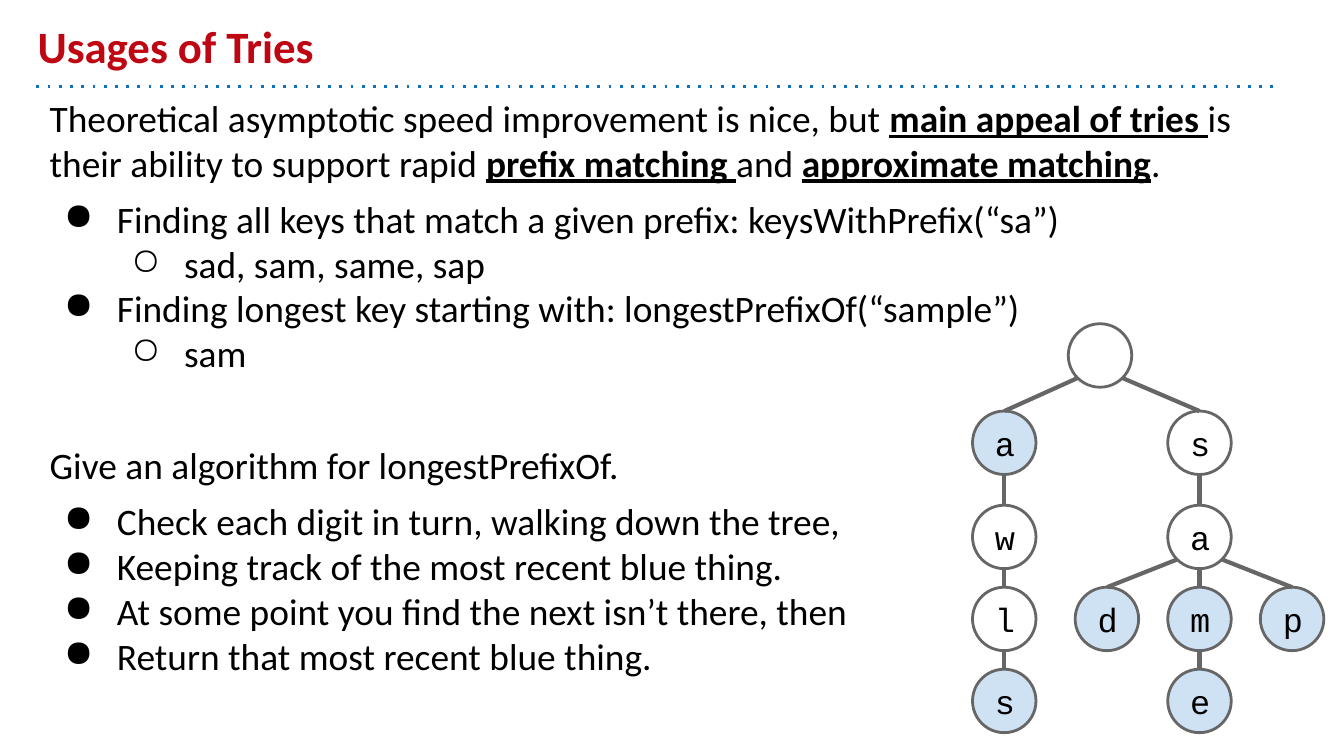
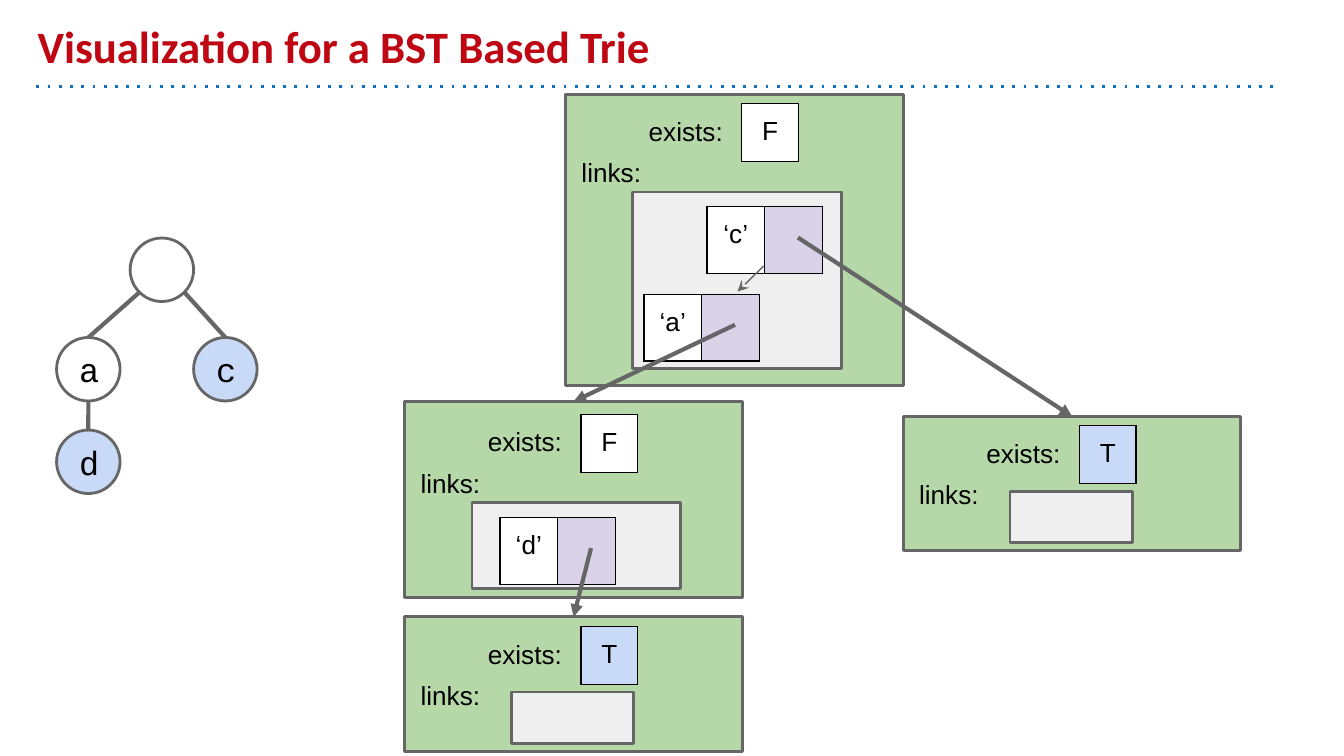
from dataclasses import dataclass

from lxml.etree import SubElement
from pptx import Presentation
from pptx.dml.color import RGBColor
from pptx.enum.shapes import MSO_CONNECTOR, MSO_SHAPE
from pptx.enum.text import MSO_ANCHOR, PP_ALIGN
from pptx.oxml.ns import qn
from pptx.util import Cm, Pt


@dataclass(frozen=True)
class Theme:
    title: str = "BE0712"
    rule: str = "1072BD"
    ink: str = "000000"
    outline: str = "666666"
    white: str = "FFFFFF"
    trie_key: str = "CFE2F3"
    bst_key: str = "C9DAF8"
    card: str = "B6D7A8"
    tray: str = "EFEFEF"
    pointer: str = "D9D2E9"
    heading_font: str = "Calibri"
    node_font: str = "Courier New"
    label_font: str = "Arial"
    title_size: int = 24
    body_size: int = 20
    node_size: int = 18
    label_size: int = 14
    thick: float = 2.25
    medium: float = 1.5
    thin: float = 0.75
    inset: float = 0.25


THEME = Theme()
NODE = 1.2
CARD_WIDTH = 6.38
CELL = 1.09


def paint(fill, color):
    fill.solid()
    fill.fore_color.rgb = RGBColor.from_string(color)


def write(frame, text, font=THEME.label_font, size=THEME.label_size, color=THEME.ink,
          bold=False, align=PP_ALIGN.LEFT, before=0, bullet=None, level=0):
    para = frame.paragraphs[0]
    if para.runs:
        para = frame.add_paragraph()
    para.alignment = align
    para.space_before = Pt(before)
    para.level = level
    if bullet:
        properties = para._p.get_or_add_pPr()
        properties.set("marL", str(Cm(1.27 * (level + 1))))
        properties.set("indent", str(Cm(-1)))
        bullet_color = SubElement(properties, qn("a:buClr"))
        SubElement(bullet_color, qn("a:srgbClr"), val=color)
        SubElement(properties, qn("a:buChar"), char=bullet)
    for index, part in enumerate(text.split("*")):
        strong = index % 2 == 1
        span = para.add_run()
        span.text = part
        span.font.name = font
        span.font.size = Pt(size)
        span.font.bold = bold or strong
        span.font.underline = strong
        span.font.color.rgb = RGBColor.from_string(color)


class Sketch:
    def __init__(self, deck, theme):
        self.deck = deck
        self.theme = theme
        self.page = None

    def new_page(self, title):
        self.page = self.deck.slides.add_slide(self.deck.slide_layouts[5])
        box = self.page.shapes.title
        box.left, box.top, box.width, box.height = Cm(0.46), Cm(0.25), Cm(22.86), Cm(1.37)
        self.prepare(box.text_frame, MSO_ANCHOR.BOTTOM)
        write(box.text_frame, title, font=self.theme.heading_font,
              size=self.theme.title_size, color=self.theme.title, bold=True)
        self.line((0.69, 1.63), (24.13, 1.63), color=self.theme.rule,
                  width=self.theme.medium, dash="dot")

    def prepare(self, frame, anchor):
        frame.word_wrap = True
        frame.vertical_anchor = anchor
        inset = Cm(self.theme.inset)
        frame.margin_left = frame.margin_right = inset
        frame.margin_top = frame.margin_bottom = inset

    def text_box(self, left, top, width, height):
        box = self.page.shapes.add_textbox(Cm(left), Cm(top), Cm(width), Cm(height))
        self.prepare(box.text_frame, MSO_ANCHOR.TOP)
        return box.text_frame

    def shape(self, kind, left, top, width, height, fill):
        shape = self.page.shapes.add_shape(kind, Cm(left), Cm(top), Cm(width), Cm(height))
        shape.shadow.inherit = False
        paint(shape.fill, fill)
        paint(shape.line.fill, self.theme.outline)
        shape.line.width = Pt(self.theme.medium)
        return shape

    def line(self, start, end, color=THEME.outline, width=THEME.thick,
             dash=None, arrow=None, target=None):
        points = [Cm(value) for value in (*start, *end)]
        connector = self.page.shapes.add_connector(MSO_CONNECTOR.STRAIGHT, *points)
        if target is not None:
            connector.end_connect(target, 0)
        paint(connector.line.fill, color)
        connector.line.width = Pt(width)
        properties = connector.element.spPr
        outline = properties.find(qn("a:ln"))
        if dash:
            SubElement(outline, qn("a:prstDash"), val=dash)
        if arrow:
            SubElement(outline, qn("a:tailEnd"), type=arrow)
        SubElement(properties, qn("a:effectLst"))

    def node(self, center, top, letter, fill):
        circle = self.shape(MSO_SHAPE.OVAL, center - NODE / 2, top, NODE, NODE, fill)
        self.prepare(circle.text_frame, MSO_ANCHOR.MIDDLE)
        if letter:
            write(circle.text_frame, letter, font=self.theme.node_font,
                  size=self.theme.node_size)
        return circle

    def tree(self, nodes, edges, key_color):
        circles = {}
        for name, (center, top, letter, is_key) in nodes.items():
            fill = key_color if is_key else self.theme.white
            circles[name] = self.node(center, top, letter, fill)
        for parent, child in edges:
            center, top = nodes[parent][:2]
            target_center, target_top = nodes[child][:2]
            radius = NODE / 2
            side = (target_center > center) - (target_center < center)
            reach = radius * 0.71 if side else radius
            start = (center + side * reach, top + radius + reach)
            self.line(start, (target_center, target_top), target=circles[child])

    def table(self, left, top, column, row, cells):
        frame = self.page.shapes.add_table(
            1, len(cells), Cm(left), Cm(top), Cm(column * len(cells)), Cm(row))
        table = frame.table
        table.first_row = table.horz_banding = False
        for index, (text, fill) in enumerate(cells):
            table.columns[index].width = Cm(column)
            cell = table.cell(0, index)
            cell.margin_left = cell.margin_right = Cm(0.2)
            cell.margin_top = cell.margin_bottom = Cm(self.theme.inset)
            properties = cell._tc.get_or_add_tcPr()
            for side in ("lnL", "lnR", "lnT", "lnB"):
                border = SubElement(properties, qn(f"a:{side}"), w=str(Pt(self.theme.thin)))
                border_fill = SubElement(border, qn("a:solidFill"))
                SubElement(border_fill, qn("a:srgbClr"), val=self.theme.ink)
            paint(cell.fill, fill)
            if text:
                write(cell.text_frame, text, align=PP_ALIGN.CENTER)

    def card(self, left, top, height, flag, tray, drop=0):
        card = self.shape(MSO_SHAPE.RECTANGLE, left, top, CARD_WIDTH, height, self.theme.card)
        write(self.text_box(left + 1.32, top + 0.15 + drop, 2.31, 0.89), "exists:")
        write(self.text_box(left + 0.05, top + 0.93 + drop, 2.72, 0.89), "links:")
        flag_fill = self.theme.bst_key if flag == "T" else self.theme.white
        self.table(left + 3.33, top + 0.18 + drop, 1.07, 0.99, [(flag, flag_fill)])
        tray_left, tray_top, tray_width, tray_height = tray
        self.shape(MSO_SHAPE.RECTANGLE, left + tray_left, top + tray_top + drop,
                   tray_width, tray_height, self.theme.tray)
        return card

    def entry(self, left, top, key):
        self.table(left, top, CELL, 1.07,
                   [(f"‘{key}’", self.theme.white), ("", self.theme.pointer)])
        return left + 1.72, top + 0.58


def build_usages(sketch):
    sketch.new_page("Usages of Tries")
    body = sketch.text_box(0.69, 1.55, 24.18, 12.73)
    lines = [
        ("Theoretical asymptotic speed improvement is nice, but *main appeal of tries *is "
         "their ability to support rapid *prefix matching *and *approximate matching*.",
         None, 0, 6),
        ("Finding all keys that match a given prefix: keysWithPrefix(“sa”)", "●", 0, 6),
        ("sad, sam, same, sap", "○", 1, 0),
        ("Finding longest key starting with: longestPrefixOf(“sample”)", "●", 0, 0),
        ("sam", "○", 1, 0),
        ("Give an algorithm for longestPrefixOf.", None, 0, 36),
        ("Check each digit in turn, walking down the tree,", "●", 0, 6),
        ("Keeping track of the most recent blue thing.", "●", 0, 0),
        ("At some point you find the next isn’t there, then", "●", 0, 0),
        ("Return that most recent blue thing.", "●", 0, 0),
    ]
    for text, bullet, level, before in lines:
        write(body, text, font=THEME.heading_font, size=THEME.body_size,
              bullet=bullet, level=level, before=before)

    rows = (6.12, 7.77, 9.55, 11.1, 12.65)
    nodes = {
        "root": (20.79, rows[0], "", False),
        "a": (18.98, rows[1], "a", True),
        "aw": (18.98, rows[2], "w", False),
        "awl": (18.98, rows[3], "l", False),
        "awls": (18.98, rows[4], "s", True),
        "s": (22.67, rows[1], "s", False),
        "sa": (22.67, rows[2], "a", False),
        "sad": (20.92, rows[3], "d", True),
        "sam": (22.67, rows[3], "m", True),
        "sap": (24.42, rows[3], "p", True),
        "same": (22.67, rows[4], "e", True),
    }
    edges = [(name[:-1] or "root", name) for name in nodes if name != "root"]
    sketch.tree(nodes, edges, THEME.trie_key)


def build_visualization(sketch):
    sketch.new_page("Visualization for a BST Based Trie")
    nodes = {
        "root": (3.06, 4.5, "", False),
        "a": (1.67, 6.38, "a", False),
        "ad": (1.67, 8.13, "d", True),
        "c": (4.26, 6.38, "c", True),
    }
    sketch.tree(nodes, [("root", "a"), ("root", "c"), ("a", "ad")], THEME.bst_key)

    empty_tray = (2.02, 1.42, 2.31, 0.97)
    sketch.card(10.69, 1.78, 5.51, "F", (1.27, 1.85, 3.94, 3.33))
    card_a = sketch.card(7.65, 7.59, 3.71, "F", (1.27, 1.85, 3.94, 1.63), drop=0.06)
    card_c = sketch.card(17.07, 7.87, 2.54, "T", empty_tray)
    card_d = sketch.card(7.65, 11.66, 2.54, "T", empty_tray)

    entries = [(13.36, 3.91, "c", card_c), (12.17, 5.56, "a", card_a), (9.45, 9.78, "d", card_d)]
    links = [(sketch.entry(left, top, key), card) for left, top, key, card in entries]
    for start, card in links:
        sketch.line(start, start, arrow="triangle", target=card)
    sketch.line((14.43, 5.03), (13.94, 5.51), width=THEME.thin, arrow="stealth")


def main():
    deck = Presentation()
    deck.slide_width, deck.slide_height = Cm(25.4), Cm(14.29)
    sketch = Sketch(deck, THEME)
    build_usages(sketch)
    build_visualization(sketch)
    deck.save("out.pptx")


if __name__ == "__main__":
    main()
